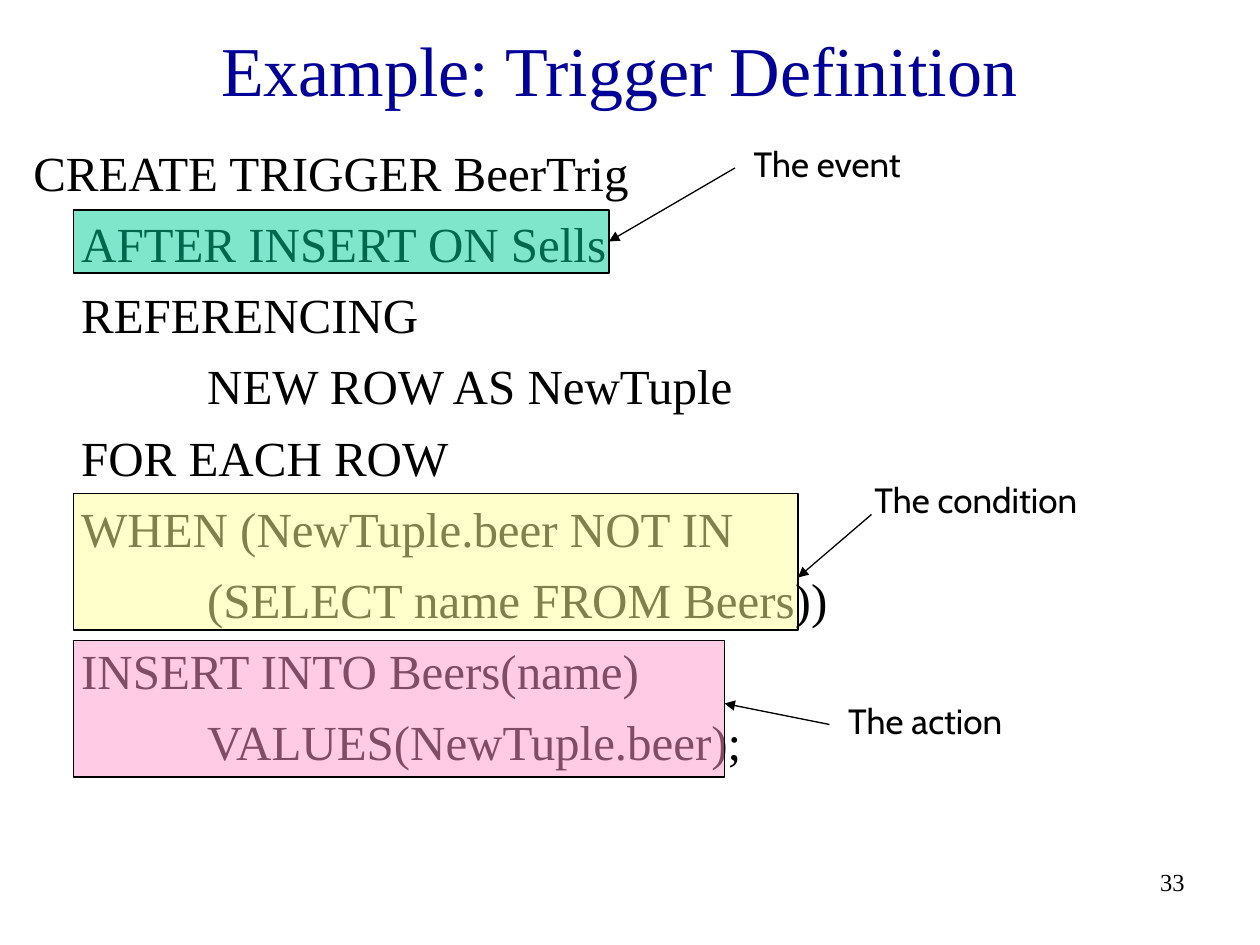
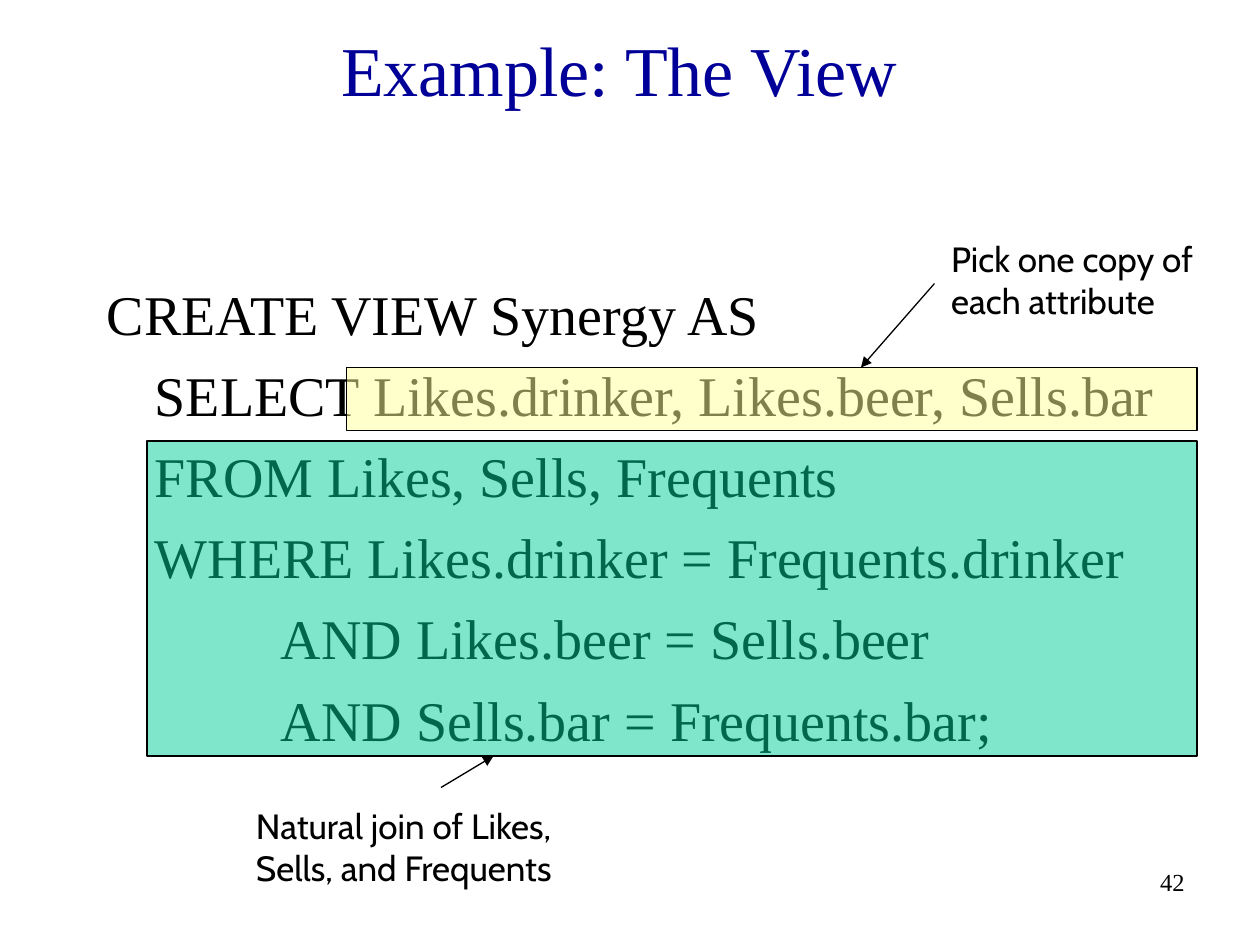
from lxml.etree import SubElement
from pptx import Presentation
from pptx.dml.color import RGBColor
from pptx.enum.shapes import MSO_CONNECTOR, MSO_SHAPE
from pptx.enum.text import MSO_ANCHOR, MSO_AUTO_SIZE, PP_ALIGN
from pptx.oxml.ns import qn
from pptx.util import Inches, Pt

HUES = {"title": "000099", "ink": "000000", "green": "00CC99",
        "yellow": "FFFF99", "pink": "FF99CC"}
SERIF, SANS = "Times New Roman", "Cabin"


class Deck:
    """Draws slides on a grid of 120 columns by 90 rows."""

    def __init__(self):
        self.show = Presentation()
        self.show.slide_width, self.show.slide_height = Inches(10), Inches(7.5)
        self.slide = None

    def grid(self, *cells):
        wide, high = self.show.slide_width / 120, self.show.slide_height / 90
        return [round(cell * (high if i % 2 else wide)) for i, cell in enumerate(cells)]

    def style(self, para, size, face=SERIF, hue="ink", align=PP_ALIGN.LEFT):
        para.font.size, para.font.name = Pt(size), face
        para.font.color.rgb = RGBColor.from_string(HUES[hue])
        para.alignment = align

    def start(self, title, number):
        self.slide = self.show.slides.add_slide(self.show.slide_layouts[5])
        head = self.slide.shapes.title
        head.left, head.top, head.width, head.height = self.grid(2, 2, 114, 9)
        frame = head.text_frame
        frame.text = title
        frame.auto_size = MSO_AUTO_SIZE.NONE
        frame.vertical_anchor = MSO_ANCHOR.MIDDLE
        self.style(frame.paragraphs[0], 40, hue="title", align=PP_ALIGN.CENTER)
        self.text((89, 82, 25, 6), [str(number)], 14, align=PP_ALIGN.RIGHT)

    def text(self, cells, lines, size, wrap=True, **look):
        frame = self.slide.shapes.add_textbox(*self.grid(*cells)).text_frame
        frame.word_wrap = wrap
        frame.text = "\n".join(lines)
        for para in frame.paragraphs:
            self.style(para, size, **look)
        return frame

    def code(self, cells, lines, size):
        frame = self.text(cells, [line for _, line in lines], size)
        for i, (para, (level, _)) in enumerate(zip(frame.paragraphs, lines)):
            para.space_before = Pt(size / 4 if i else 0)
            props = para._p.get_or_add_pPr()
            props.set("marL", str(Inches((0, 0.38, 1.38)[level])))
            props.set("indent", "0")

    def label(self, cells, *lines):
        self.text(cells, lines, 20, wrap=False, face=SANS)

    def box(self, cells, hue):
        rect = self.slide.shapes.add_shape(MSO_SHAPE.RECTANGLE, *self.grid(*cells))
        rect.shadow.inherit = False
        rect.fill.solid()
        rect.fill.fore_color.rgb = RGBColor.from_string(HUES[hue])
        tint = rect._element.spPr.find(".//" + qn("a:srgbClr"))
        SubElement(tint, qn("a:alpha")).set("val", "50000")
        self.stroke(rect.line)
        return rect

    def stroke(self, line):
        line.width = Pt(0.75)
        line.color.rgb = RGBColor.from_string(HUES["ink"])

    def arrow(self, cells, rect=None, side=3):
        link = self.slide.shapes.add_connector(MSO_CONNECTOR.STRAIGHT, *self.grid(*cells))
        if rect is not None:
            link.end_connect(rect, side)
        self.stroke(link.line)
        props = link._element.spPr
        SubElement(props.find(qn("a:ln")), qn("a:tailEnd")).set("type", "triangle")
        SubElement(props, qn("a:effectLst"))


def trigger(deck):
    deck.start("Example: Trigger Definition", 33)
    deck.code((2, 13, 114, 71), [
        (0, "CREATE TRIGGER BeerTrig"),
        (1, "AFTER INSERT ON Sells"),
        (1, "REFERENCING"),
        (2, "NEW ROW AS NewTuple"),
        (1, "FOR EACH ROW"),
        (1, "WHEN (NewTuple.beer NOT IN"),
        (2, "(SELECT name FROM Beers))"),
        (1, "INSERT INTO Beers(name)"),
        (2, "VALUES(NewTuple.beer);"),
    ], 28)
    event = deck.box((7, 20, 51, 6), "green")
    deck.label((70.6, 13, 17.8, 5.3), "The event")
    deck.arrow((70, 16, 58, 23), event)
    deck.box((7, 47, 69, 13), "yellow")
    deck.label((82.1, 45, 23.8, 5.3), "The condition")
    deck.arrow((83, 49, 76, 55))
    deck.box((7, 61, 62, 13), "pink")
    deck.label((79.6, 66, 18.7, 5.3), "The action")
    deck.arrow((79, 69, 69, 67))


def view(deck):
    deck.start("Example: The View", 42)
    deck.code((9, 26, 111, 54), [
        (0, "CREATE VIEW Synergy AS"),
        (1, "SELECT Likes.drinker, Likes.beer, Sells.bar"),
        (1, "FROM Likes, Sells, Frequents"),
        (1, "WHERE Likes.drinker = Frequents.drinker"),
        (2, "AND Likes.beer = Sells.beer"),
        (2, "AND Sells.bar = Frequents.bar;"),
    ], 32)
    deck.box((14, 42, 100, 30), "green")
    deck.label((23.2, 76, 34.6, 9.2), "Natural join of Likes,", "Sells, and Frequents")
    deck.arrow((42, 75, 47, 72))
    deck.box((33, 35, 81, 6), "yellow")
    deck.label((89.4, 22, 27.7, 9.2), "Pick one copy of", "each attribute")
    deck.arrow((89, 27, 82, 35))


def main():
    deck = Deck()
    trigger(deck)
    view(deck)
    deck.show.save("out.pptx")


if __name__ == "__main__":
    main()
